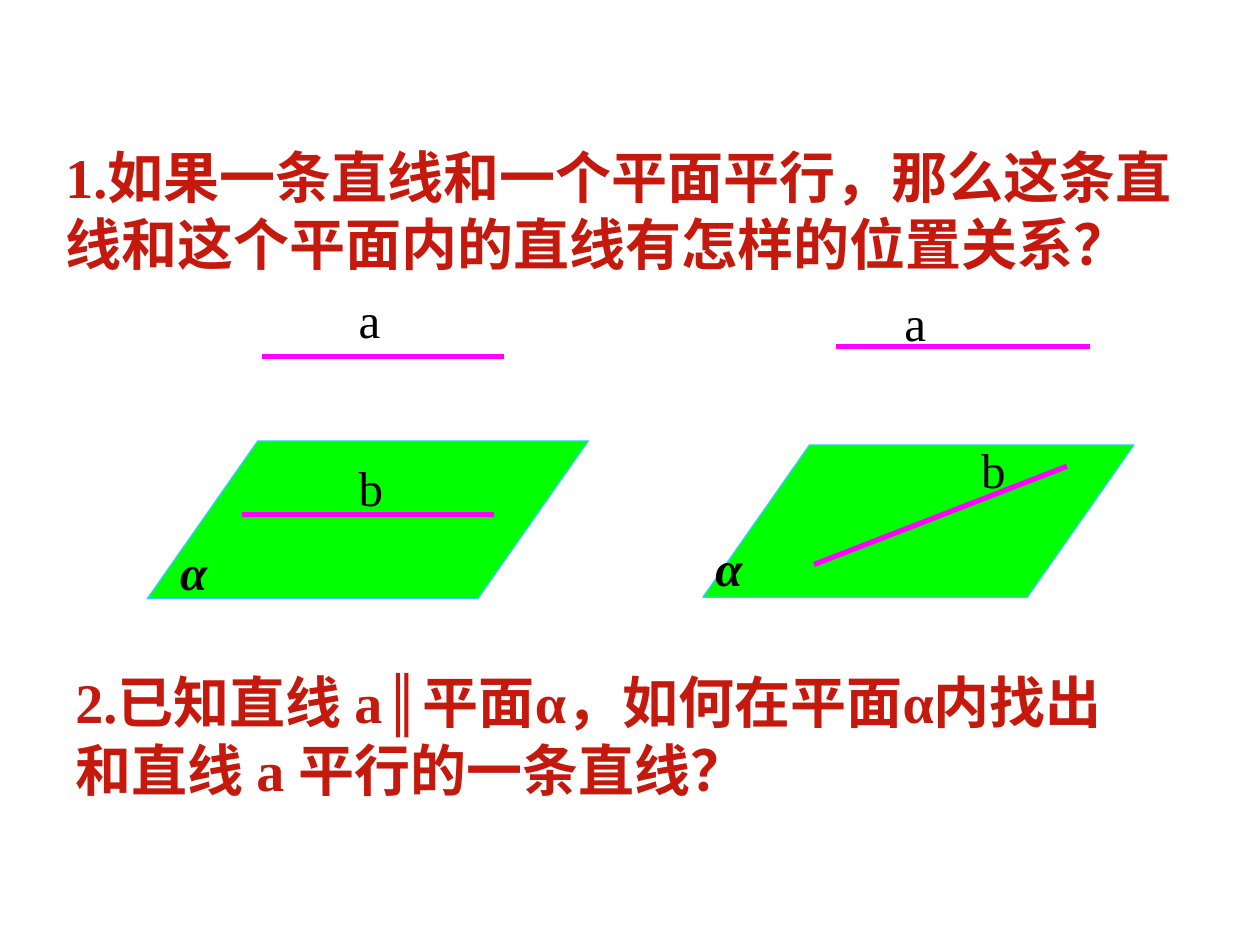
from dataclasses import dataclass

from pptx import Presentation
from pptx.dml.color import RGBColor
from pptx.enum.shapes import MSO_CONNECTOR, MSO_SHAPE
from pptx.enum.text import MSO_AUTO_SIZE, PP_ALIGN
from pptx.oxml.ns import qn
from pptx.util import Cm, Pt


@dataclass(frozen=True)
class Theme:
    font: str = "Times New Roman"
    question: RGBColor = RGBColor(0xC4, 0x19, 0x0C)
    label: RGBColor = RGBColor(0, 0, 0)
    plane: RGBColor = RGBColor(0, 0xFF, 0)
    edge: RGBColor = RGBColor(0x33, 0xCC, 0xFF)
    line: RGBColor = RGBColor(0xFF, 0, 0xFF)
    question_size: int = 32
    label_size: int = 28
    edge_width: float = 0.75
    line_width: float = 3


THEME = Theme()
LABEL_HEIGHT = 1.45


def add_text(shapes, text, box, *, size=THEME.label_size, color=THEME.label,
             bold=False, italic=False, align=PP_ALIGN.LEFT):
    sp = shapes.add_textbox(*map(Cm, box))
    tf = sp.text_frame
    tf.word_wrap = True
    tf.auto_size = MSO_AUTO_SIZE.SHAPE_TO_FIT_TEXT
    p = tf.paragraphs[0]
    p.alignment = align
    r = p.add_run()
    r.text = text
    r.font.name = THEME.font
    r.font.size = Pt(size)
    r.font.bold = bold
    r.font.italic = italic
    r.font.color.rgb = color
    return sp


def add_question(s, text, box):
    return add_text(s.shapes, text, box, size=THEME.question_size,
                    color=THEME.question, bold=True)


def add_line(shapes, x1, y1, x2, y2):
    cxn = shapes.add_connector(MSO_CONNECTOR.STRAIGHT, Cm(x1), Cm(y1), Cm(x2), Cm(y2))
    cxn.line.color.rgb = THEME.line
    cxn.line.width = Pt(THEME.line_width)
    spPr = cxn._element.spPr
    spPr.append(spPr.makeelement(qn("a:effectLst"), {}))
    return cxn


def add_plane(shapes, x, y, w, h, slant):
    sp = shapes.add_shape(MSO_SHAPE.PARALLELOGRAM, Cm(x), Cm(y), Cm(w), Cm(h))
    sp.adjustments[0] = slant
    sp.shadow.inherit = False
    sp.fill.solid()
    sp.fill.fore_color.rgb = THEME.plane
    sp.line.color.rgb = THEME.edge
    sp.line.width = Pt(THEME.edge_width)
    return sp


def add_figure(s, box, *, plane_top, slant, lines, labels):
    x, y, w, h = box
    shapes = s.shapes.add_group_shape().shapes
    add_plane(shapes, x, y + plane_top, w, h - plane_top, slant)
    for x1, y1, x2, y2 in lines:
        add_line(shapes, x + x1, y + y1, x + x2, y + y2)
    for text, (dx, dy, width) in labels.items():
        is_plane = text == "α"
        add_text(shapes, text, (x + dx, y + dy, width, LABEL_HEIGHT),
                 bold=is_plane, italic=is_plane, align=PP_ALIGN.JUSTIFY)


def main():
    prs = Presentation()
    prs.slide_width, prs.slide_height = Cm(25.4), Cm(19.05)
    s = prs.slides.add_slide(prs.slide_layouts[6])

    add_question(s, "1.如果一条直线和一个平面平行，那么这条直线和这个平面内的直线有怎样的位置关系？",
                 (1.07, 2.74, 23.29, 2.97))
    add_figure(
        s, (2.97, 5.72, 8.89, 6.35), plane_top=3.17, slant=0.7,
        lines=[(1.91, 4.65, 6.99, 4.65), (2.31, 1.47, 7.19, 1.47)],
        labels={"a": (4.01, 0, 2.97), "b": (4.01, 3.38, 1.42), "α": (0.41, 5.08, 3.81)},
    )
    add_figure(
        s, (14.17, 5.77, 8.69, 6.27), plane_top=3.2, slant=0.7,
        lines=[(2.24, 5.61, 7.34, 3.63), (2.69, 1.22, 7.8, 1.22)],
        labels={"a": (3.81, 0, 2.54), "b": (5.36, 2.97, 2.44), "α": (0, 4.95, 2.01)},
    )
    add_question(s, "2.已知直线 a∥平面α，如何在平面α内找出和直线 a 平行的一条直线？",
                 (1.27, 13.34, 22.23, 5.03))
    prs.save("out.pptx")


if __name__ == "__main__":
    main()
